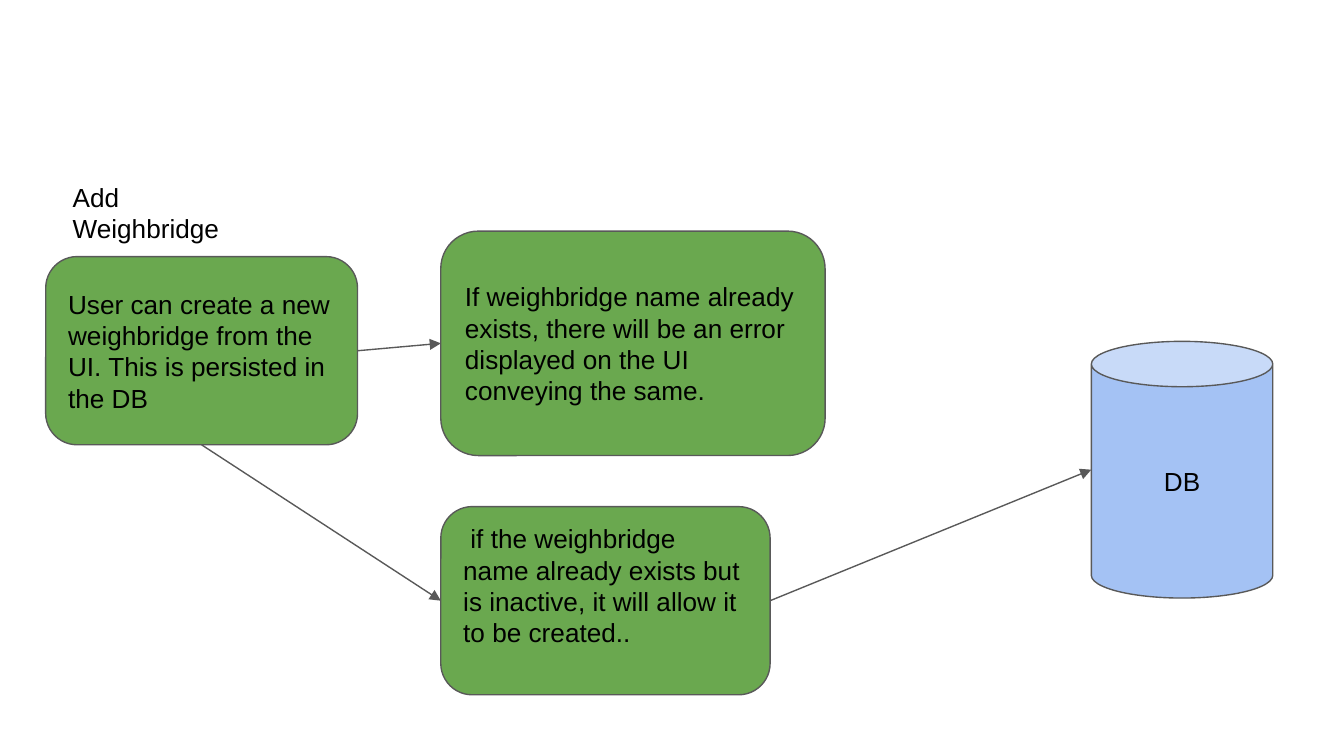
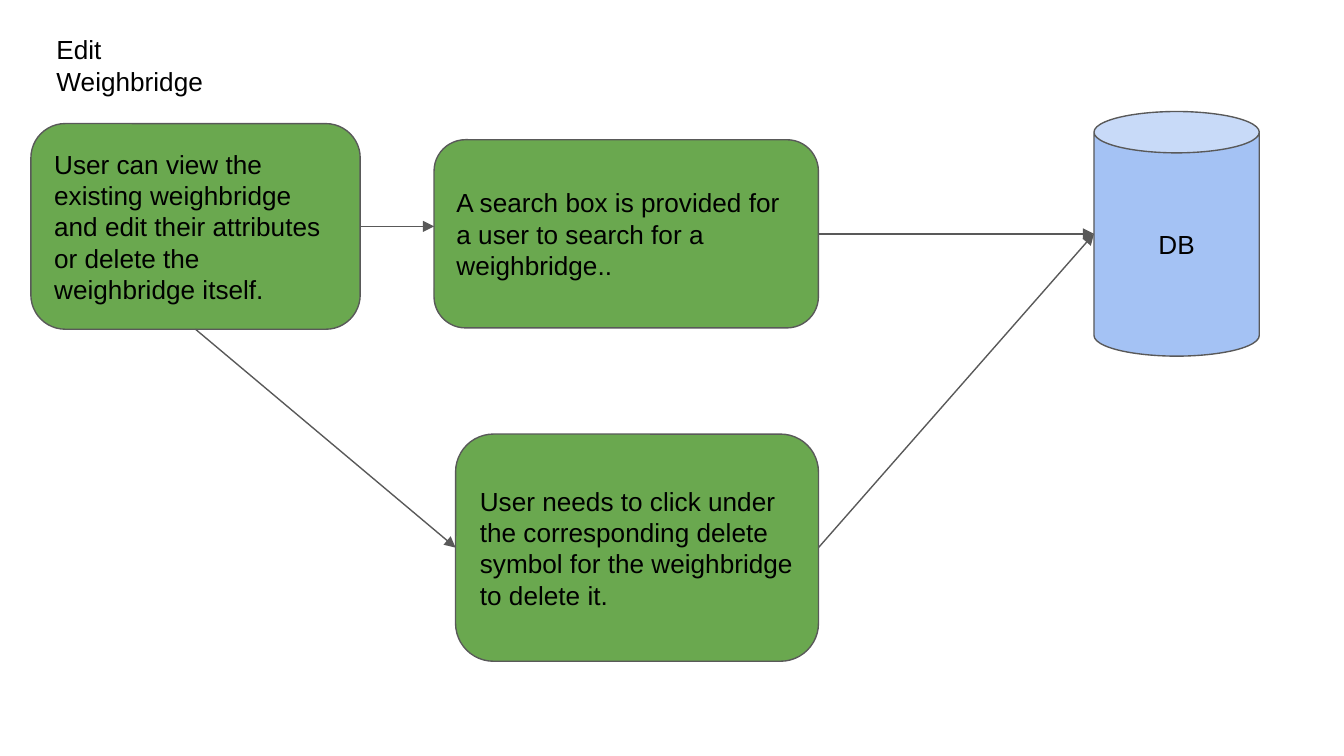
"""Build two flow diagrams for adding and editing a weighbridge."""
import pptx
import pptx.dml.color
import pptx.enum.shapes
import pptx.enum.text
import pptx.oxml
import pptx.oxml.ns
import pptx.util
from pptx.util import Inches

COLORS = {"step": "6AA84F", "database": "A4C2F4", "line": "595959", "text": "000000"}
FONT_NAME = "Arial"
FONT_SIZE = 14
LINE_WIDTH = 0.75
INSET = 0.1
BLANK_LINE = 0.23
TOP, LEFT, BOTTOM, RIGHT = range(4)

FLOWS = [
    {
        "title": ("Add Weighbridge", (0.44, 1.25, 1.59, 0.59)),
        "steps": {
            "create": ("User can create a new weighbridge from the UI. This is persisted in the DB",
                       (0.34, 1.91, 2.32, 1.4), INSET),
            "duplicate": ("If weighbridge name already exists, there will be an error displayed "
                          "on the UI conveying the same.", (3.28, 1.72, 2.86, 1.67), INSET),
            "inactive": (" if the weighbridge name already exists but is inactive, it will allow it "
                         "to be created..", (3.28, 3.77, 2.45, 1.4), INSET + BLANK_LINE),
        },
        "database": (8.12, 2.54, 1.35, 1.91),
        "arrows": [("create", RIGHT, "duplicate"), ("create", BOTTOM, "inactive"),
                   ("inactive", RIGHT, "database")],
    },
    {
        "title": ("Edit Weighbridge", (0.32, 0.15, 1.65, 0.59)),
        "steps": {
            "view": ("User can view the existing weighbridge and edit their attributes or delete "
                     "the weighbridge itself.", (0.23, 0.92, 2.45, 1.53), INSET),
            "search": ("A search box is provided for a user to search for a weighbridge..",
                       (3.23, 1.04, 2.86, 1.4), INSET),
            "delete": ("User needs to click under the corresponding delete symbol for the "
                       "weighbridge to delete it.", (3.39, 3.23, 2.7, 1.69), INSET),
        },
        "database": (8.14, 0.83, 1.23, 1.82),
        "level_arrows": [("view", "search")],
        "arrows": [("search", RIGHT, "database"), ("view", BOTTOM, "delete"),
                   ("delete", RIGHT, "database")],
    },
]


def rgb(name):
    return pptx.dml.color.RGBColor.from_string(COLORS[name])


def write_text(shape, text, anchor, alignment, bottom_inset=INSET):
    frame = shape.text_frame
    frame.word_wrap = True
    frame.auto_size = pptx.enum.text.MSO_AUTO_SIZE.NONE
    frame.vertical_anchor = anchor
    frame.margin_left = frame.margin_right = frame.margin_top = Inches(INSET)
    frame.margin_bottom = Inches(bottom_inset)
    frame.text = text
    paragraph = frame.paragraphs[0]
    paragraph.alignment = alignment
    paragraph.font.name = FONT_NAME
    paragraph.font.size = pptx.util.Pt(FONT_SIZE)
    paragraph.font.color.rgb = rgb("text")


def style_line(line):
    line.color.rgb = rgb("line")
    line.width = pptx.util.Pt(LINE_WIDTH)


def add_node(slide, kind, box, fill, text, alignment, bottom_inset=INSET):
    shape = slide.shapes.add_shape(kind, *map(Inches, box))
    shape.shadow.inherit = False
    shape.fill.solid()
    shape.fill.fore_color.rgb = rgb(fill)
    style_line(shape.line)
    write_text(shape, text, pptx.enum.text.MSO_ANCHOR.MIDDLE, alignment, bottom_inset)
    return shape


def middle(node):
    return node.top + node.height // 2


def add_arrow(slide, start, side, end):
    arrow = slide.shapes.add_connector(pptx.enum.shapes.MSO_CONNECTOR.STRAIGHT, 0, 0, *end)
    arrow.begin_connect(start, side)
    style_line(arrow.line)
    tail = pptx.oxml.parse_xml(f'<a:tailEnd {pptx.oxml.ns.nsdecls("a")} type="triangle"/>')
    arrow.line._get_or_add_ln().append(tail)
    effects = pptx.oxml.parse_xml(f'<a:effectLst {pptx.oxml.ns.nsdecls("a")}/>')
    arrow._element.spPr.append(effects)
    return arrow


def add_flow(presentation, flow):
    left = pptx.enum.text.PP_ALIGN.LEFT
    center = pptx.enum.text.PP_ALIGN.CENTER
    shapes = pptx.enum.shapes.MSO_SHAPE
    slide = presentation.slides.add_slide(presentation.slide_layouts.get_by_name("Title Only"))
    title = slide.shapes.title
    text, box = flow["title"]
    title.left, title.top, title.width, title.height = map(Inches, box)
    write_text(title, text, pptx.enum.text.MSO_ANCHOR.TOP, left)
    nodes = {
        name: add_node(slide, shapes.ROUNDED_RECTANGLE, box, "step", text, left, bottom_inset)
        for name, (text, box, bottom_inset) in flow["steps"].items()
    }
    nodes["database"] = add_node(slide, shapes.CAN, flow["database"], "database", "DB", center)
    for start, target in flow.get("level_arrows", []):
        add_arrow(slide, nodes[start], RIGHT, (nodes[target].left, middle(nodes[start])))
    for start, side, target in flow["arrows"]:
        node = nodes[target]
        arrow = add_arrow(slide, nodes[start], side, (node.left, middle(node)))
        if target != "database":
            arrow.end_connect(node, LEFT)


def main():
    presentation = pptx.Presentation()
    presentation.slide_width = Inches(10)
    presentation.slide_height = presentation.slide_width * 9 // 16
    for flow in FLOWS:
        add_flow(presentation, flow)
    presentation.save("out.pptx")


if __name__ == "__main__":
    main()
